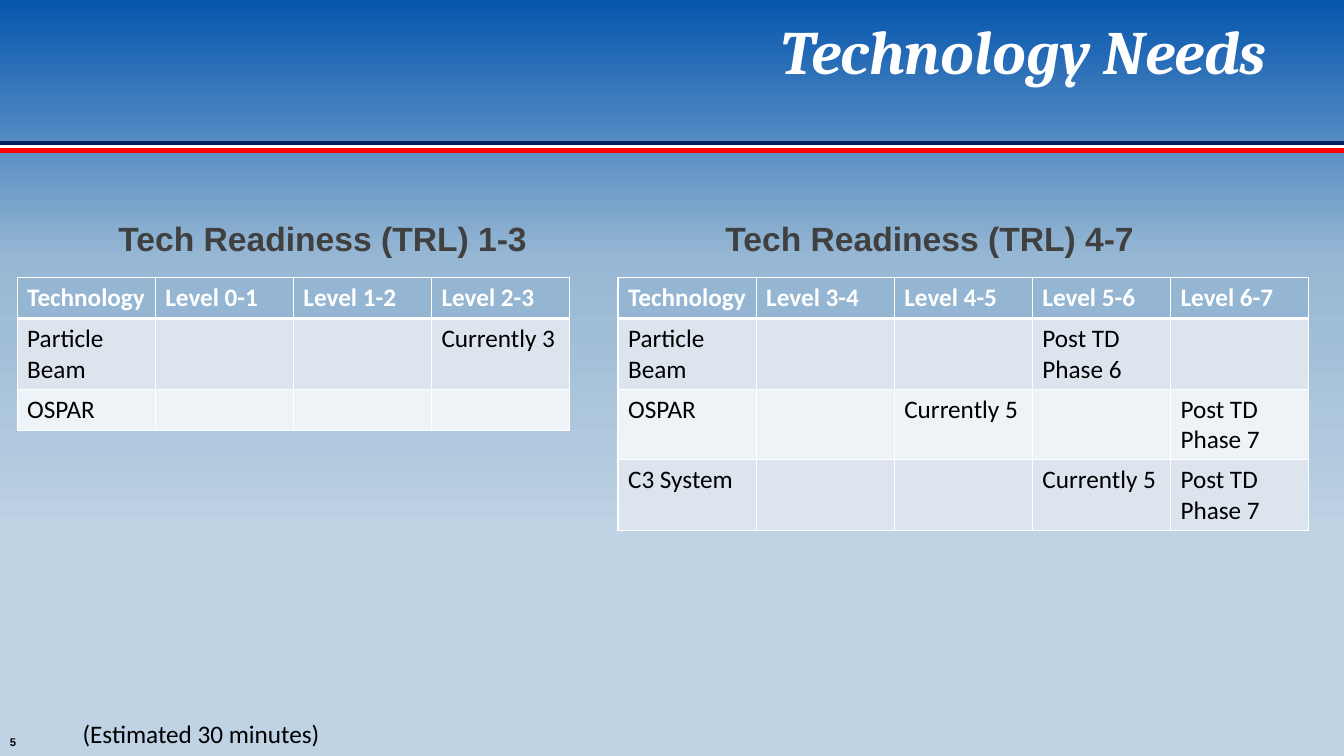
from lxml import etree
from pptx import Presentation
from pptx import util as u
from pptx.dml import color
from pptx.enum import shapes, text
from pptx.oxml import ns

WHITE, BLACK = "FFFFFF", "000000"
HEAD, BANDS = "94B6D2", ("DCE5EE", "EEF3F7")


def rgb(code):
    return color.RGBColor.from_string(code)


def node(up, tag, **attrs):
    return etree.SubElement(up, ns.qn(tag), **attrs)


class Deck:
    body = "Calibri"
    label = "Arial"
    title = "Cambria"

    def __init__(self):
        self.prs = Presentation()
        self.prs.slide_width = u.Inches(13.33)
        self.prs.slide_height = u.Inches(7.5)
        self.slide = self.prs.slides.add_slide(self.prs.slide_layouts[6])

    def back(self, stops):
        fill = self.slide.background.fill
        fill.gradient()
        fill.gradient_angle = 270
        row = self.slide.element.xpath(".//a:gsLst")[0]
        for old in list(row):
            row.remove(old)
        for pos, code in stops:
            stop = node(row, "a:gs", pos=str(pos * 1000))
            node(stop, "a:srgbClr", val=code)

    def rule(self, y, code, width):
        line = self.slide.shapes.add_connector(
            shapes.MSO_CONNECTOR.STRAIGHT, 0, u.Inches(y),
            self.prs.slide_width, u.Inches(y))
        line.line.color.rgb = rgb(code)
        line.line.width = u.Pt(width)
        node(line._element.spPr, "a:effectLst")

    def style(self, frame, font, size, code, bold=False, italic=False):
        for par in frame.paragraphs:
            for run in par.runs:
                run.font.name = font
                run.font.size = u.Pt(size)
                run.font.color.rgb = rgb(code)
                run.font.bold = bold
                run.font.italic = italic

    def text(self, words, box, font, size, code, bold=False, italic=False,
             align="LEFT", anchor="TOP", wrap=True, space=None):
        frame = self.slide.shapes.add_textbox(*map(u.Inches, box)).text_frame
        frame.text = words
        frame.word_wrap = wrap
        frame.vertical_anchor = text.MSO_ANCHOR[anchor]
        for par in frame.paragraphs:
            par.alignment = text.PP_ALIGN[align]
            par.line_spacing = space
        self.style(frame, font, size, code, bold, italic)

    def edges(self, cell, base):
        props = cell._tc.get_or_add_tcPr()
        for side in "LRTB":
            width = base if side == "B" else 1
            edge = node(props, f"a:ln{side}", w=str(u.Pt(width)))
            node(node(edge, "a:solidFill"), "a:srgbClr", val=WHITE)

    def table(self, rows, left, top, wide=1.37, high=0.41):
        count = len(rows[0])
        grid = self.slide.shapes.add_table(
            len(rows), count, u.Inches(left), u.Inches(top),
            u.Inches(wide * count), u.Inches(high * len(rows))).table
        for col in grid.columns:
            col.width = u.Inches(wide)
        for i, row in enumerate(rows):
            grid.rows[i].height = u.Inches(high)
            for j, words in enumerate(row):
                cell = grid.cell(i, j)
                cell.text_frame.text = words
                # Borders come before the fill in the cell properties
                self.edges(cell, 1 if i else 3)
                cell.fill.solid()
                cell.fill.fore_color.rgb = rgb(BANDS[(i - 1) % 2] if i else HEAD)
                if words:
                    self.style(cell.text_frame, self.body, 18,
                               BLACK if i else WHITE, bold=not i)
                else:
                    cell.text_frame.paragraphs[0].font.size = u.Pt(18)


deck = Deck()

# Background and title band
deck.back([(0, "0656AE"), (34, "96B7D3"), (72, "BFD3E4"), (100, "BFD3E4")])
for y, code, width in [(1.42, "002060", 3.5), (1.46, WHITE, 2.5),
                       (1.49, "FF0000", 3.5)]:
    deck.rule(y, code, width)
deck.text("Technology Needs", (1.44, 0.08, 11.22, 1.25), deck.title, 44,
          WHITE, bold=True, italic=True, align="RIGHT")

# Readiness tables with their headings
early = [
    ["Technology", "Level 0-1", "Level 1-2", "Level 2-3"],
    ["Particle Beam", "", "", "Currently 3"],
    ["OSPAR", "", "", ""],
]
late = [
    ["Technology", "Level 3-4", "Level 4-5", "Level 5-6", "Level 6-7"],
    ["Particle Beam", "", "", "Post TD Phase 6", ""],
    ["OSPAR", "", "Currently 5", "", "Post TD Phase 7"],
    ["C3 System", "", "", "Currently 5", "Post TD\nPhase 7"],
]
for span, x, rows, left in [("1-3", 0.76, early, 0.17),
                            ("4-7", 6.78, late, 6.13)]:
    deck.text(f"Tech Readiness (TRL) {span}", (x, 1.75, 4.88, 0.87),
              deck.label, 24, "404040", bold=True, align="CENTER",
              anchor="BOTTOM", space=0.9)
    deck.table(rows, left, 2.75)

# Footer
deck.text("5", (0, 7.25, 0.56, 0.25), deck.label, 8, BLACK, bold=True)
deck.text("(Estimated 30 minutes)", (0.72, 7.08, 2.58, 0.4), deck.body, 18,
          BLACK, wrap=False)

deck.prs.save("out.pptx")
